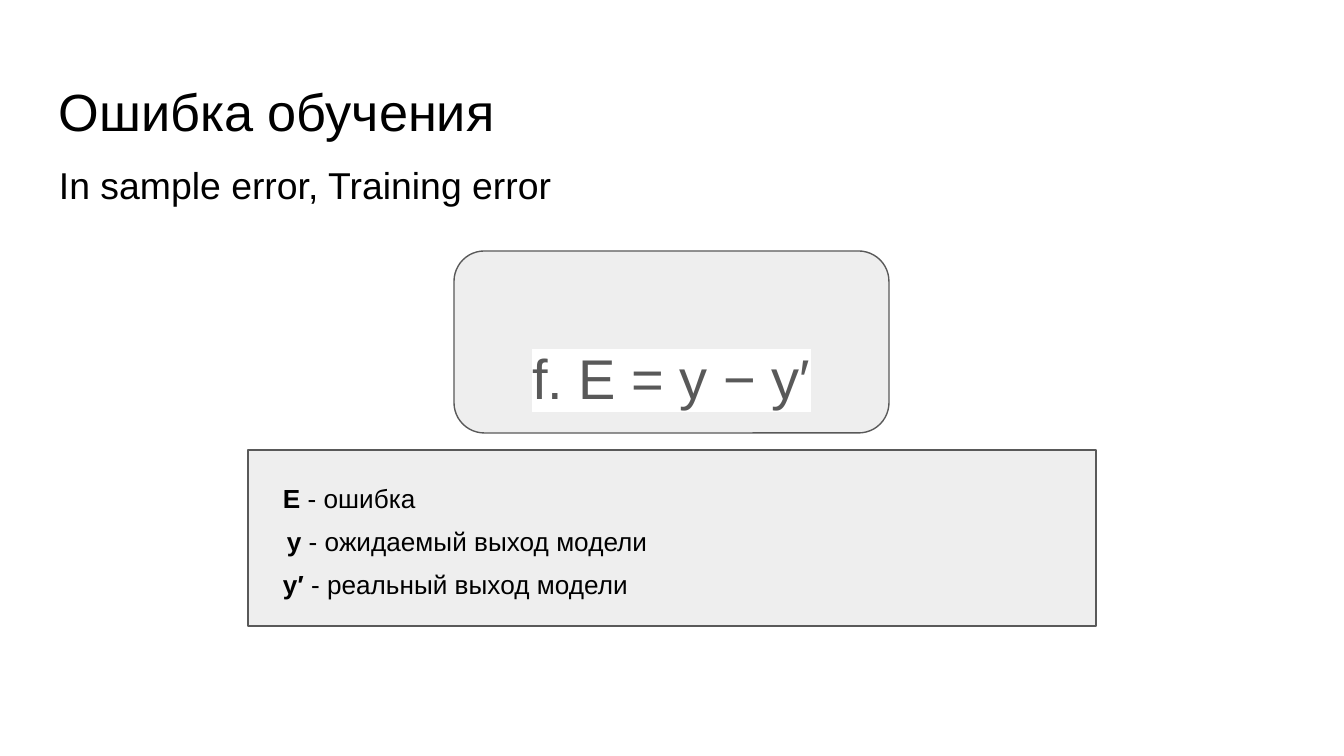
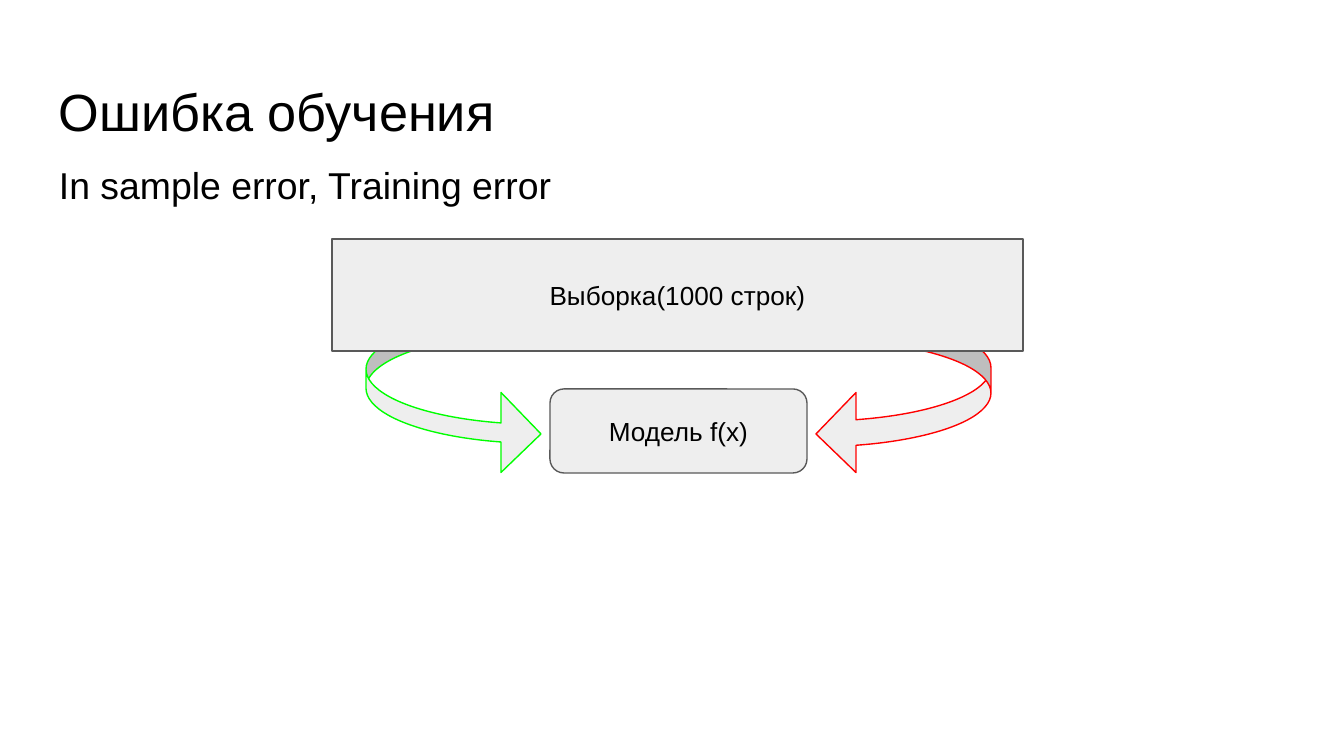
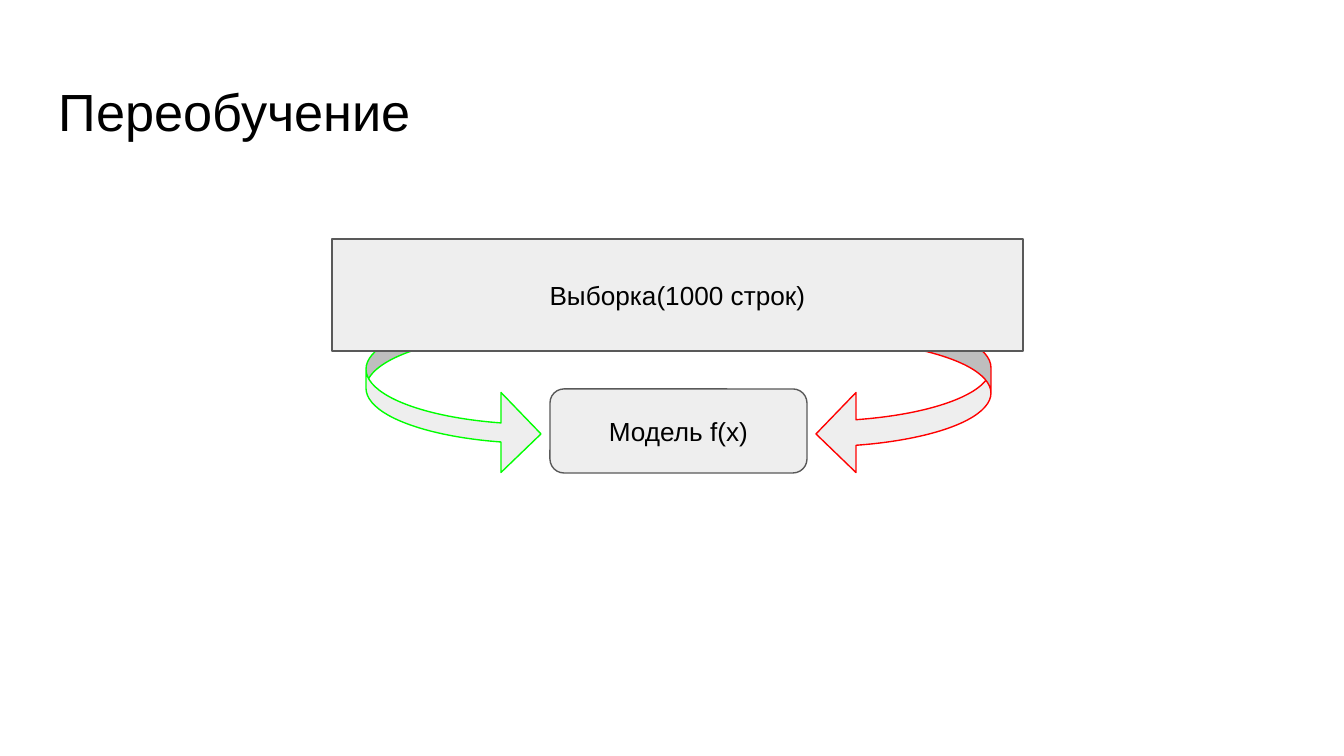
from dataclasses import dataclass

from lxml import etree
from pptx import Presentation
from pptx.dml.color import RGBColor
from pptx.enum.shapes import MSO_SHAPE
from pptx.enum.text import MSO_ANCHOR, PP_ALIGN
from pptx.oxml.ns import qn
from pptx.util import Emu, Pt

RECTANGLE = MSO_SHAPE.RECTANGLE
ROUNDED = MSO_SHAPE.ROUNDED_RECTANGLE
PROCESS = MSO_SHAPE.FLOWCHART_PROCESS
ALTERNATE_PROCESS = MSO_SHAPE.FLOWCHART_ALTERNATE_PROCESS
CURVED_RIGHT = MSO_SHAPE.CURVED_RIGHT_ARROW
CURVED_LEFT = MSO_SHAPE.CURVED_LEFT_ARROW
TOP, MIDDLE, BOTTOM = MSO_ANCHOR.TOP, MSO_ANCHOR.MIDDLE, MSO_ANCHOR.BOTTOM
LEFT, CENTER = PP_ALIGN.LEFT, PP_ALIGN.CENTER

PIXELS_PER_INCH = 134.4
PAGE_WIDTH, PAGE_HEIGHT = 1344, 756
INSET = 13
FONT = "Arial"
BLACK, WHITE, GRAY, PANEL = "000000", "FFFFFF", "595959", "EEEEEE"
GREEN, RED = "00FF00", "FF0000"


@dataclass(frozen=True)
class Area:
    left: int
    top: int
    width: int
    height: int


@dataclass(frozen=True)
class Block:
    """A preset shape with the shared panel fill and a thin outline."""
    kind: MSO_SHAPE
    area: Area
    line: str = GRAY
    adjustments: tuple[float, ...] = ()
    text: str = ""


@dataclass(frozen=True)
class Term:
    symbol: str
    meaning: str
    left: int


TITLE_AREA = Area(46, 66, 1253, 85)
SUBTITLE_AREA = Area(46, 149, 1253, 85)
SUBTITLE = "In sample error, Training error"

FORMULA = Block(ROUNDED, Area(454, 251, 435, 182), adjustments=(0.167,))
LEGEND = Block(RECTANGLE, Area(248, 450, 848, 176))
TERMS = (
    Term("E", " - ошибка", 270),
    Term("y", " - ожидаемый выход модели", 274),
    Term("y′", " - реальный выход модели", 270),
)
TERM_TOP, TERM_STEP, TERM_WIDTH = 469, 43, 530

# Back to front: the sample block covers the tails of both arrows
DIAGRAM = (
    Block(ALTERNATE_PROCESS, Area(550, 389, 257, 84), text="Модель f(x)"),
    Block(CURVED_RIGHT, Area(366, 314, 175, 160), GREEN, (0.119, 0.5, 0.25)),
    Block(CURVED_LEFT, Area(816, 314, 175, 160), RED, (0.16, 0.5, 0.25)),
    Block(PROCESS, Area(332, 239, 691, 112), text="Выборка(1000 строк)"),
)


def px(pixels: int) -> Emu:
    return Emu(round(pixels * 914400 / PIXELS_PER_INCH))


def color(value: str) -> RGBColor:
    return RGBColor.from_string(value)


def place(area: Area) -> tuple[Emu, Emu, Emu, Emu]:
    return px(area.left), px(area.top), px(area.width), px(area.height)


def write(shape, text: str, size: int, ink: str = BLACK, align=LEFT, anchor=TOP):
    """Fill a shape with one paragraph and return the paragraph."""
    frame = shape.text_frame
    frame.word_wrap = True
    frame.vertical_anchor = anchor
    frame.margin_left = frame.margin_right = px(INSET)
    frame.margin_top = frame.margin_bottom = px(INSET)
    para = frame.paragraphs[0]
    para.alignment = align
    para.font.name = FONT
    para.font.size = Pt(size)
    para.font.color.rgb = color(ink)
    para.add_run().text = text
    return para


def add_text(page, area: Area, text: str, size: int):
    return write(page.shapes.add_textbox(*place(area)), text, size)


def add_block(page, block: Block):
    shape = page.shapes.add_shape(block.kind, *place(block.area))
    shape.shadow.inherit = False
    shape.fill.solid()
    shape.fill.fore_color.rgb = color(PANEL)
    shape.line.color.rgb = color(block.line)
    shape.line.width = Pt(0.75)
    for index, value in enumerate(block.adjustments):
        shape.adjustments[index] = value
    if block.text:
        write(shape, block.text, 14, align=CENTER, anchor=MIDDLE)
    return shape


def highlight(span, value: str) -> None:
    properties = span._r.get_or_add_rPr()
    mark = etree.SubElement(properties, qn("a:highlight"))
    etree.SubElement(mark, qn("a:srgbClr")).set("val", value)


def add_page(deck, title: str, subtitle: str = ""):
    page = deck.slides.add_slide(deck.slide_layouts[6])
    add_text(page, TITLE_AREA, title, 28)
    if subtitle:
        add_text(page, SUBTITLE_AREA, subtitle, 20)
    return page


def add_formula(page) -> None:
    para = write(add_block(page, FORMULA), "f. E = y − y′", 30, GRAY, CENTER, BOTTOM)
    para.space_after = Pt(16)
    highlight(para.runs[0], WHITE)


def add_legend(page) -> None:
    add_block(page, LEGEND)
    for row, term in enumerate(TERMS):
        area = Area(term.left, TERM_TOP + row * TERM_STEP, TERM_WIDTH, TERM_STEP)
        para = add_text(page, area, term.symbol, 14)
        para.runs[0].font.bold = True
        para.add_run().text = term.meaning


def add_diagram(page) -> None:
    for block in DIAGRAM:
        add_block(page, block)


def main() -> None:
    deck = Presentation()
    deck.slide_width, deck.slide_height = px(PAGE_WIDTH), px(PAGE_HEIGHT)

    # Slide 1: error formula and its terms
    page = add_page(deck, "Ошибка обучения", SUBTITLE)
    add_formula(page)
    add_legend(page)

    # Slides 2 and 3: the sample feeds the model
    add_diagram(add_page(deck, "Ошибка обучения", SUBTITLE))
    add_diagram(add_page(deck, "Переобучение"))

    deck.save("out.pptx")


main()
